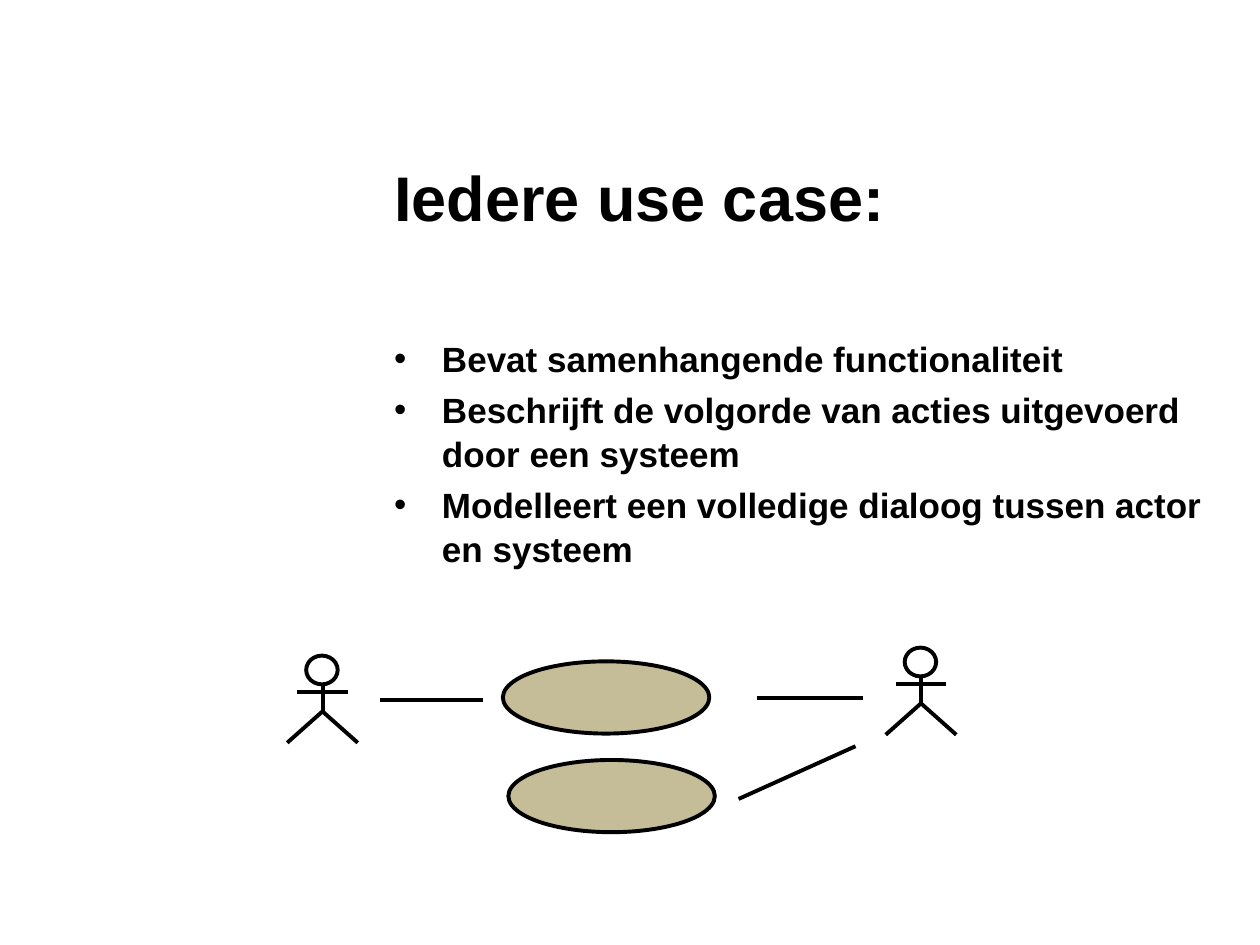
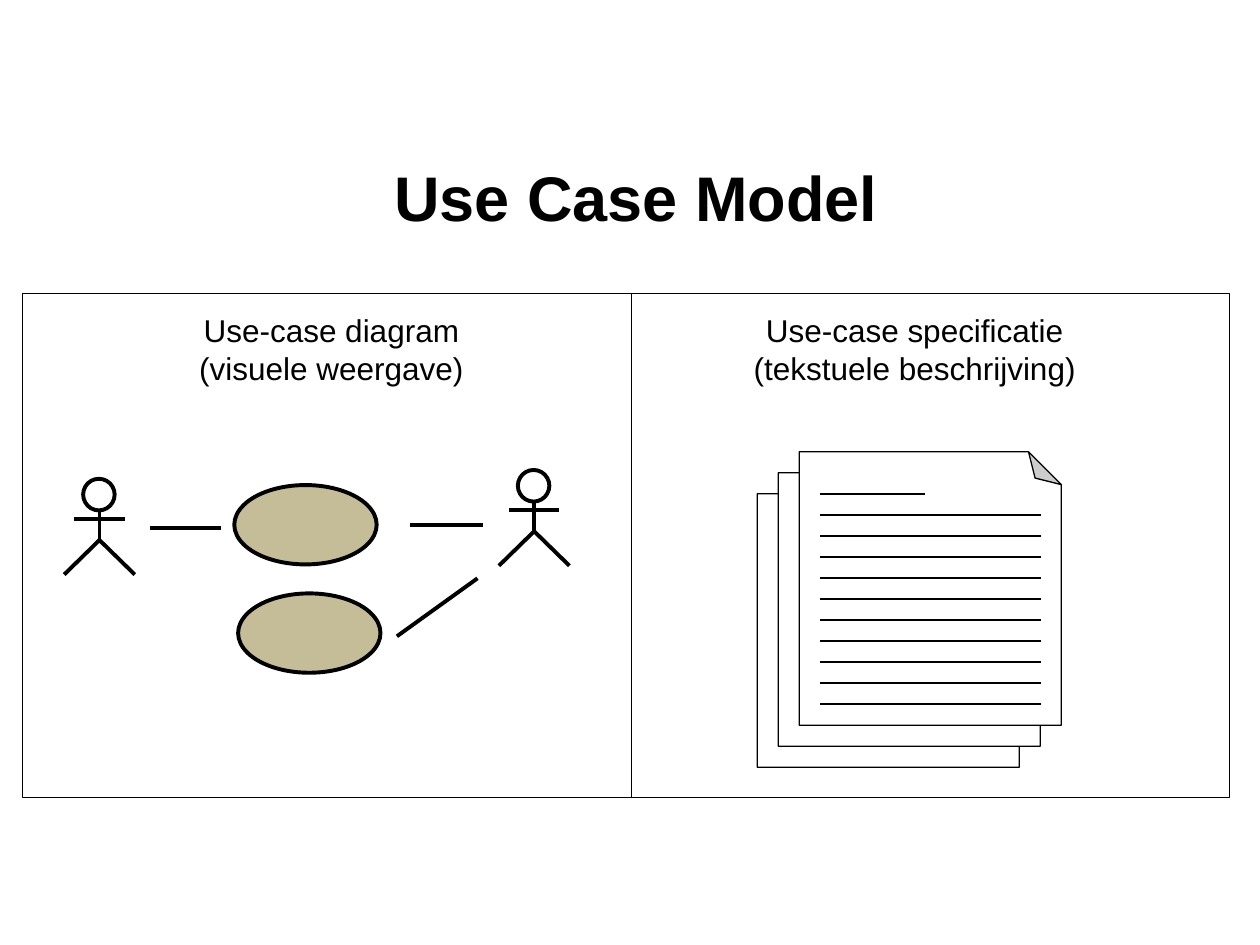
from dataclasses import dataclass

from lxml.etree import SubElement
from pptx import Presentation
from pptx.dml.color import RGBColor
from pptx.enum.shapes import MSO_CONNECTOR as Connector, MSO_SHAPE as Preset
from pptx.enum.text import MSO_ANCHOR as Anchor, PP_ALIGN as Align
from pptx.oxml.ns import qn
from pptx.util import Inches, Pt


@dataclass(frozen=True)
class Theme:
    font: str = "Arial"
    ink: RGBColor = RGBColor(0, 0, 0)
    paper: RGBColor = RGBColor(255, 255, 255)
    use_case: RGBColor = RGBColor(0xC4, 0xBD, 0x97)
    title_size: Pt = Pt(36)
    body_size: Pt = Pt(20)
    label_size: Pt = Pt(18)
    thick: Pt = Pt(2.25)
    thin: Pt = Pt(0.75)


def apply(target, values):
    for name, value in values.items():
        setattr(target, name, value)


class Deck:
    def __init__(self, theme):
        self.theme = theme
        self.file = Presentation()
        apply(self.file, {"slide_width": Inches(10), "slide_height": Inches(7.5)})
        self.slide = None

    def new_slide(self, title):
        self.slide = self.file.slides.add_slide(self.file.slide_layouts[6])
        self.text(3.03, 1.2, 6.67, 0.71, [title], self.theme.title_size,
                  bold=True, anchor=Anchor.BOTTOM)

    # Text
    def text(self, left, top, width, height, lines, size, bold=False,
             anchor=Anchor.TOP, paragraph_format=None):
        frame = self.slide.shapes.add_textbox(
            Inches(left), Inches(top), Inches(width), Inches(height)).text_frame
        apply(frame, {"word_wrap": True, "vertical_anchor": anchor})
        for index, line in enumerate(lines):
            paragraph = frame.add_paragraph() if index else frame.paragraphs[0]
            paragraph.text = line
            apply(paragraph, paragraph_format or {})
            for run in paragraph.runs:
                apply(run.font, {"name": self.theme.font, "size": size, "bold": bold})
                run.font.color.rgb = self.theme.ink
        return frame

    def bullets(self, left, top, width, height, lines):
        size = self.theme.body_size
        frame = self.text(left, top, width, height, lines, size, bold=True,
                          paragraph_format={"space_before": Pt(4), "line_spacing": 1.05})
        for paragraph in frame.paragraphs:
            props = paragraph._p.get_or_add_pPr()
            props.set("marL", str(Inches(0.38)))
            props.set("indent", str(Inches(-0.38)))
            SubElement(props, qn("a:buFont")).set("typeface", self.theme.font)
            SubElement(props, qn("a:buChar")).set("char", "•")

    def label(self, left, width, text):
        self.text(left, 2.42, width, 0.91, [text], self.theme.label_size,
                  paragraph_format={"alignment": Align.CENTER, "space_before": Pt(9)})

    # Shapes and lines
    def style(self, shape, weight, fill=None):
        shape.shadow.inherit = False
        if fill is None:
            shape.fill.background()
        else:
            shape.fill.solid()
            shape.fill.fore_color.rgb = fill
        shape.line.color.rgb = self.theme.ink
        shape.line.width = weight

    def shape(self, preset, left, top, width, height, weight, fill=None, group=None):
        shape = (group or self.slide).shapes.add_shape(
            preset, Inches(left), Inches(top), Inches(width), Inches(height))
        self.style(shape, weight, fill)
        return shape

    def line(self, x1, y1, x2, y2, weight, group=None):
        line = (group or self.slide).shapes.add_connector(
            Connector.STRAIGHT, Inches(x1), Inches(y1), Inches(x2), Inches(y2))
        line.line.color.rgb = self.theme.ink
        line.line.width = weight
        SubElement(line._element.spPr, qn("a:effectLst"))

    # Use-case drawing
    def actor(self, x, top, height):
        group = self.slide.shapes.add_group_shape()
        weight = self.theme.thick
        chin, arms, hip = (top + part * height for part in (0.33, 0.42, 0.64))
        self.shape(Preset.OVAL, x - 0.13, top, 0.25, chin - top, weight, group=group)
        self.line(x, chin, x, hip, weight, group)
        self.line(x - 0.2, arms, x + 0.2, arms, weight, group)
        foot = Inches(top + height)
        legs = group.shapes.build_freeform(Inches(x - 0.28), foot)
        legs.add_line_segments(
            [(Inches(x), Inches(hip)), (Inches(x + 0.28), foot)], close=False)
        self.style(legs.convert_to_shape(), weight)

    def use_case_diagram(self, left, top, x_scale, y_scale, actor_xs):
        def place(x, y):
            return left + x * x_scale, top + y * y_scale

        for x, y in zip(actor_xs, (0.07, 0)):
            self.actor(x, place(0, y)[1], 0.76 * y_scale)
        for x, y in ((1.07, 0.12), (1.1, 0.98)):
            self.shape(Preset.OVAL, *place(x, y), 1.13 * x_scale, 0.63 * y_scale,
                       self.theme.thick, self.theme.use_case)
        for start, end in (((0.4, 0.46), (0.96, 0.46)),
                           ((2.46, 0.44), (3.04, 0.44)),
                           ((3, 0.86), (2.36, 1.32))):
            self.line(*place(*start), *place(*end), self.theme.thick)

    # Page with its corner folded at the top right
    def page(self, left, top, group):
        page = self.shape(Preset.FOLDED_CORNER, left, top, 2.08, 2.17,
                          self.theme.thin, self.theme.paper, group)
        props = page._element.spPr
        props.find(qn("a:xfrm")).set("flipV", "1")
        fold = SubElement(props.find(qn("a:prstGeom")).find(qn("a:avLst")), qn("a:gd"))
        fold.set("name", "adj")
        fold.set("fmla", "val 12500")

    # Stack of written pages
    def specification(self, left, top):
        group = self.slide.shapes.add_group_shape()
        step = 1 / 6
        for i in range(3):
            self.page(left + i * step, top - i * step, group)
        text_left = left + 3 * step
        for i in range(11):
            y = top + i * step
            text_right = text_left + (1.75 if i else 0.83)
            self.line(text_left, y, text_right, y, self.theme.thin, group)


def main():
    deck = Deck(Theme())

    # Slide 1: what every use case does
    deck.new_slide("Iedere use case:")
    deck.bullets(3.03, 2.61, 6.67, 4.32, [
        "Bevat samenhangende functionaliteit",
        "Beschrijft de volgorde van acties uitgevoerd door een systeem",
        "Modelleert een volledige dialoog tussen actor en systeem",
    ])
    deck.use_case_diagram(2.44, 5.14, 1.45, 0.91, (2.56, 7.31))

    # Slide 2: diagram and specification side by side
    deck.new_slide("Use Case Model")
    deck.use_case_diagram(0.79, 3.73, 1, 1, (0.79, 4.24))
    deck.label(0.84, 3.58, "Use-case diagram\v(visuele weergave)")
    deck.label(5.26, 4, "Use-case specificatie\v(tekstuele beschrijving)")
    deck.specification(6.01, 3.92)
    deck.shape(Preset.RECTANGLE, 0.18, 2.33, 9.58, 4, deck.theme.thin)
    deck.line(5.01, 2.33, 5.01, 6.33, deck.theme.thin)

    deck.file.save("out.pptx")


if __name__ == "__main__":
    main()
